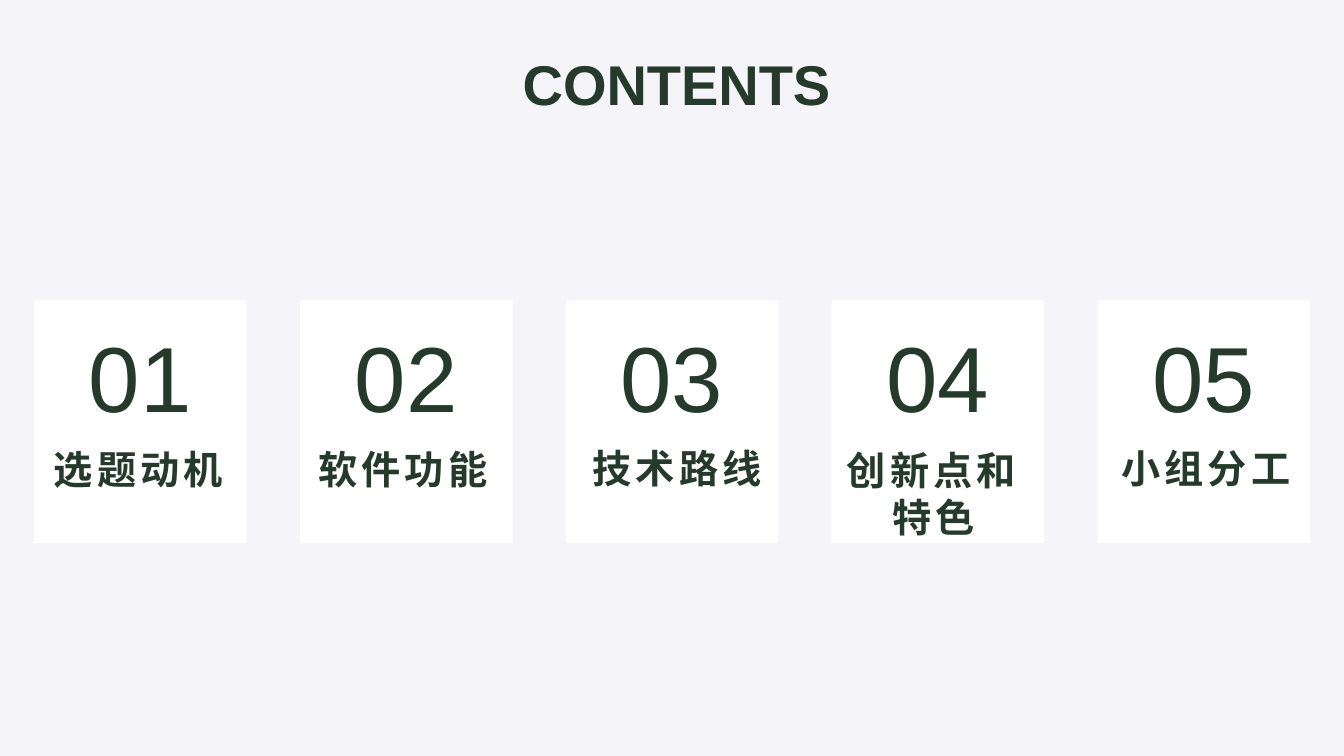
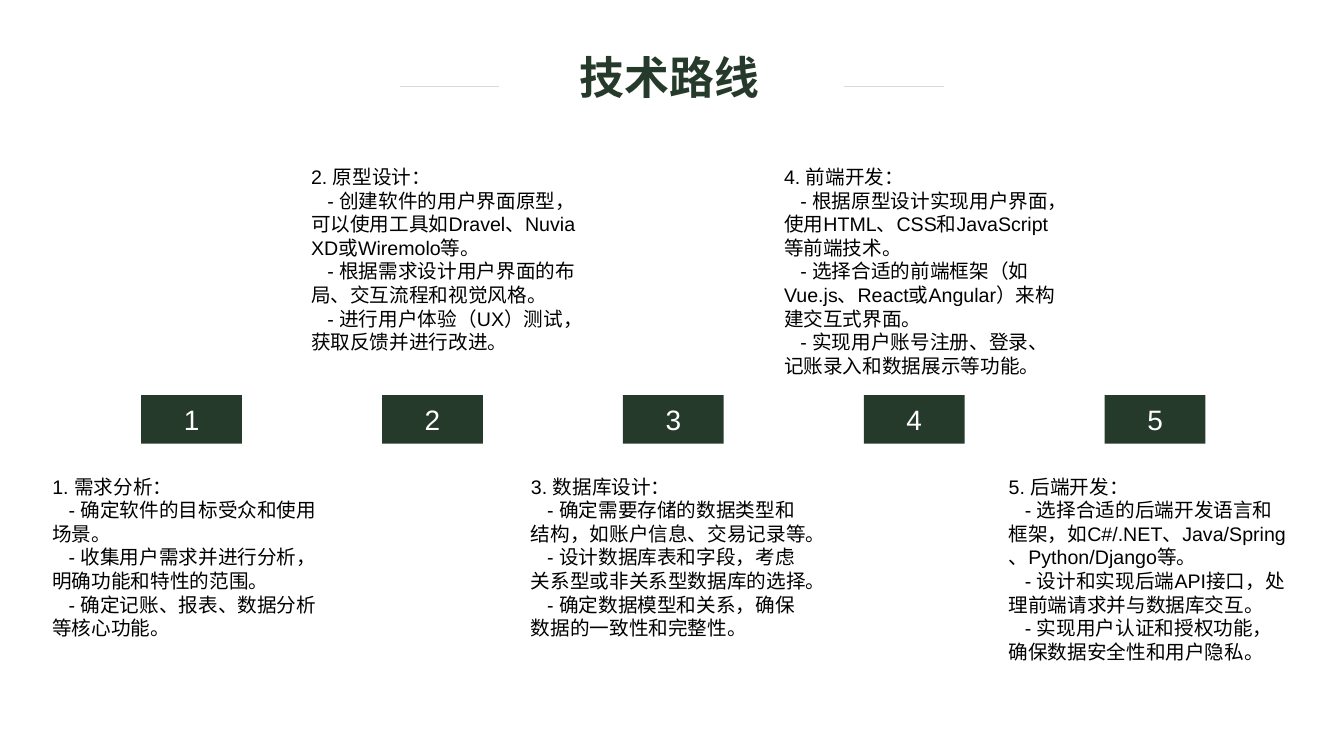
from pptx import Presentation
from pptx.dml.color import RGBColor
from pptx.enum.shapes import MSO_CONNECTOR, MSO_SHAPE
from pptx.enum.text import MSO_ANCHOR, MSO_AUTO_SIZE, PP_ALIGN
from pptx.oxml.ns import qn
from pptx.util import Cm, Pt
from lxml.etree import SubElement

COLOURS = {
    "green": "253A2A",
    "mist": "F5F4F9",
    "white": "FFFFFF",
    "black": "000000",
    "rule": "D9D9D9",
}
FONT = "Arial"
TITLE_TOP = 1.12

presentation = Presentation()
presentation.slide_width = Cm(33.87)
presentation.slide_height = Cm(19.05)
blank_layout = presentation.slide_layouts[6]


def add_text(slide, left, top, width, height, lines, size,
             colour="green", bold=False, align=PP_ALIGN.CENTER):
    box = slide.shapes.add_textbox(Cm(left), Cm(top), Cm(width), Cm(height))
    frame = box.text_frame
    frame.word_wrap = True
    frame.auto_size = MSO_AUTO_SIZE.SHAPE_TO_FIT_TEXT
    frame.text = "\n".join(lines)
    for paragraph in frame.paragraphs:
        paragraph.alignment = align
        paragraph.font.name = FONT
        paragraph.font.size = Pt(size)
        paragraph.font.bold = bold
        paragraph.font.color.rgb = RGBColor.from_string(COLOURS[colour])
    return frame.paragraphs


def add_block(slide, left, top, width, height, colour):
    block = slide.shapes.add_shape(
        MSO_SHAPE.RECTANGLE, Cm(left), Cm(top), Cm(width), Cm(height))
    block.shadow.inherit = False
    block.fill.solid()
    block.fill.fore_color.rgb = RGBColor.from_string(COLOURS[colour])
    block.line.fill.background()
    return block


# Contents: five numbered cards
slide = presentation.slides.add_slide(blank_layout)
slide.background.fill.solid()
slide.background.fill.fore_color.rgb = RGBColor.from_string(COLOURS["mist"])
add_text(slide, 11.46, TITLE_TOP, 11.18, 1.96, ["CONTENTS"], 40, bold=True)

# Label, its left and top, and its height
chapters = [
    ("选题动机", 0.81, 11.1, 1.45),
    ("软件功能", 7.47, 11.1, 1.45),
    ("技术路线", 14.38, 11.07, 1.45),
    ("创新点和特色", 20.85, 11.13, 2.64),
    ("小组分工", 27.71, 11.07, 1.45),
]
card_width = 5.36
for index, (label, label_left, label_top, label_height) in enumerate(chapters):
    card_left = 0.86 + index * 6.7
    add_block(slide, card_left, 7.57, card_width, 6.12, "white")
    add_text(slide, card_left + 0.86, 7.95, 3.63, 3.07, [f"0{index + 1}"], 66)
    paragraphs = add_text(slide, label_left, label_top, card_width, label_height,
                          [label], 28, bold=True)
    # Letter spacing of 3 points
    paragraphs[0].runs[0].font._element.set("spc", "300")

# Technical route: title between two thin rules
slide = presentation.slides.add_slide(blank_layout)
slide.background.fill.solid()
slide.background.fill.fore_color.rgb = RGBColor.from_string(COLOURS["white"])
add_text(slide, 12.45, TITLE_TOP, 8.84, 1.63, ["技术路线"], 32, bold=True)
for rule_left in (10.08, 21.28):
    rule = slide.shapes.add_connector(
        MSO_CONNECTOR.STRAIGHT, Cm(rule_left), Cm(2.18), Cm(rule_left + 2.5), Cm(2.18))
    rule.line.color.rgb = RGBColor.from_string(COLOURS["rule"])
    rule.line.width = Pt(0.5)
    SubElement(rule._element.spPr, qn("a:effectLst"))

# Steps: text left, text height, heading, points
steps = [
    (1.07, 4.45, "需求分析", [
        "确定软件的目标受众和使用场景。",
        "收集用户需求并进行分析，明确功能和特性的范围。",
        "确定记账、报表、数据分析等核心功能。"]),
    (7.59, 5.03, "原型设计", [
        "创建软件的用户界面原型，可以使用工具如Dravel、Nuvia XD或Wiremolo等。",
        "根据需求设计用户界面的布局、交互流程和视觉风格。",
        "进行用户体验（UX）测试，获取反馈并进行改进。"]),
    (13.13, 4.45, "数据库设计", [
        "确定需要存储的数据类型和结构，如账户信息、交易记录等。",
        "设计数据库表和字段，考虑关系型或非关系型数据库的选择。",
        "确定数据模型和关系，确保数据的一致性和完整性。"]),
    (19.51, 5.64, "前端开发", [
        "根据原型设计实现用户界面，使用HTML、CSS和JavaScript等前端技术。",
        "选择合适的前端框架（如Vue.js、React或Angular）来构建交互式界面。",
        "实现用户账号注册、登录、记账录入和数据展示等功能。"]),
    (25.17, 5.03, "后端开发", [
        "选择合适的后端开发语言和框架，如C#/.NET、Java/Spring、Python/Django等。",
        "设计和实现后端API接口，处理前端请求并与数据库交互。",
        "实现用户认证和授权功能，确保数据安全性和用户隐私。"]),
]
for index, (text_left, text_height, heading, points) in enumerate(steps):
    number = index + 1
    block = add_block(slide, 3.56 + index * 6.07, 9.96, 2.54, 1.22, "green")
    block.text_frame.text = str(number)
    block.text_frame.vertical_anchor = MSO_ANCHOR.MIDDLE
    paragraph = block.text_frame.paragraphs[0]
    paragraph.alignment = PP_ALIGN.CENTER
    paragraph.font.name = FONT
    paragraph.font.size = Pt(20)
    paragraph.font.color.rgb = RGBColor.from_string(COLOURS["white"])

    # Odd steps are described below the row, even steps above it
    text_top = 11.84 if number % 2 else 4.04
    lines = [f"{number}. {heading}："] + [f"- {point}" for point in points]
    paragraphs = add_text(slide, text_left, text_top, 7.49, text_height, lines, 14,
                          colour="black", align=PP_ALIGN.LEFT)
    for paragraph in paragraphs[1:]:
        paragraph._p.get_or_add_pPr().set("indent", str(Cm(0.41)))

presentation.save("out.pptx")
